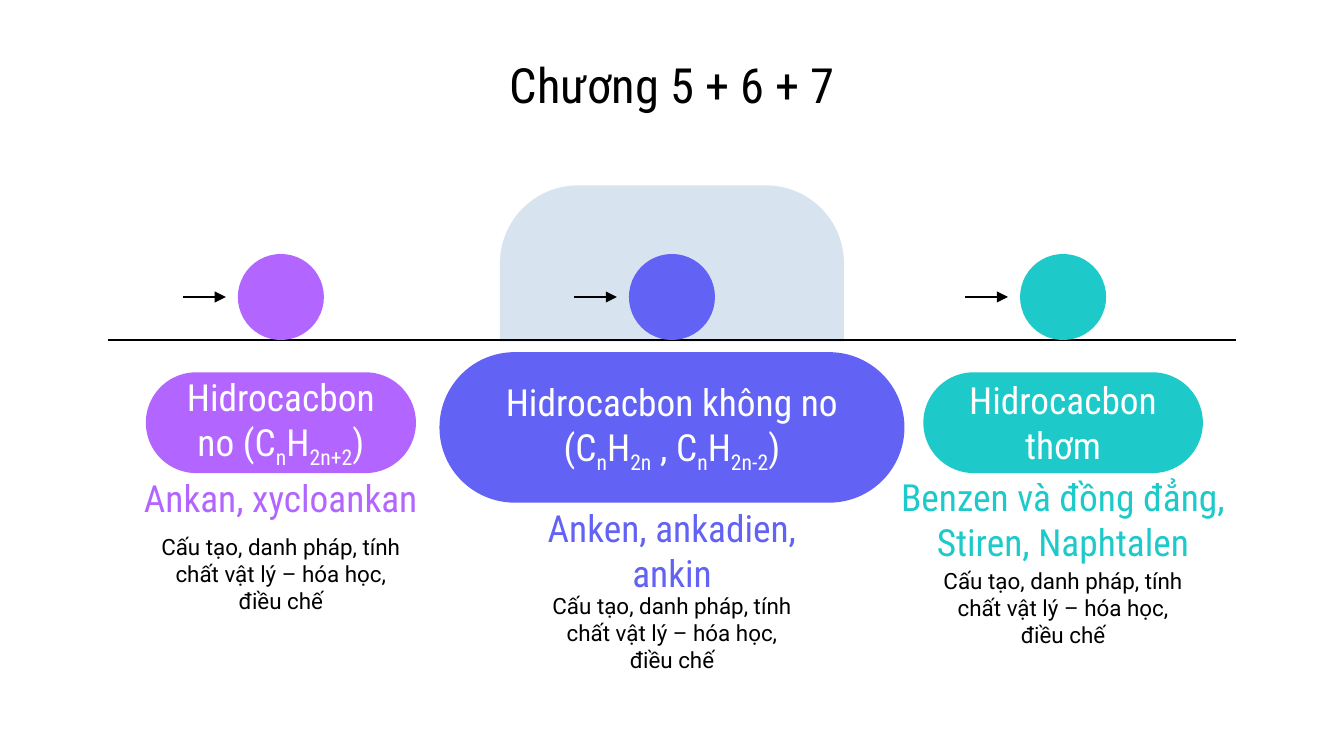
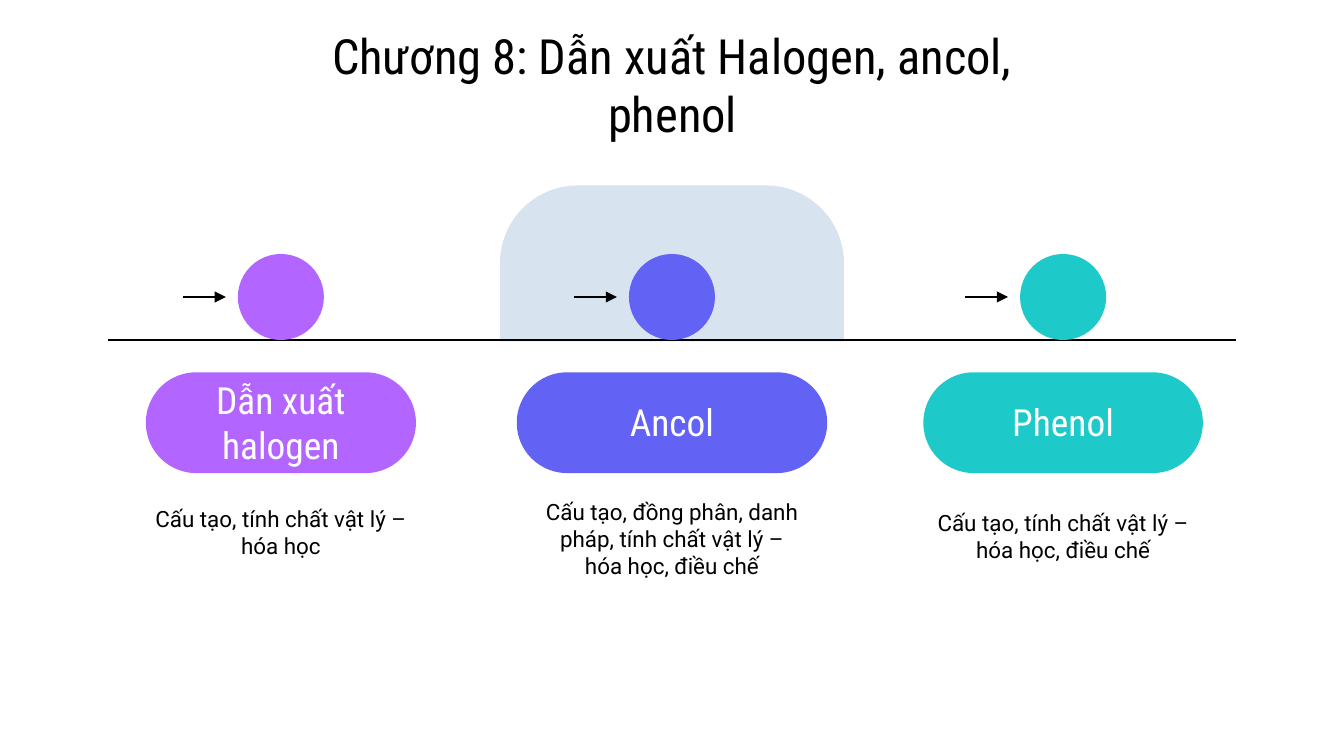
from lxml.etree import SubElement
from pptx import Presentation
from pptx.dml.color import RGBColor
from pptx.enum.shapes import MSO_CONNECTOR, MSO_SHAPE
from pptx.enum.text import MSO_ANCHOR, PP_ALIGN
from pptx.oxml.ns import qn
from pptx.util import Inches, Pt

BLACK, WHITE, PANEL = "000000", "FFFFFF", "D7E4F0"
COLORS = ["B366FF", "6262F5", "1EC9C9"]
HEAD_FONT, BODY_FONT = "Roboto Condensed", "Roboto"
COL_LEFT, COL_PITCH, COL_W = 1.03, 2.91, 2.12
CIRCLE = 0.64
AXIS_Y = 2.53
TOPICS = "Cấu tạo, danh pháp, tính chất vật lý – hóa học, điều chế"

SLIDES = [
    ("Chương 5 + 6 + 7", [
        dict(pill="Hidrocacbon no (C_n_H_2n+2_)", pill_box=(2.77, 2.01, 0.75),
             label="Ankan, xycloankan", label_box=(3.52, 2.46),
             body=TOPICS, body_top=3.89),
        dict(pill="Hidrocacbon không no (C_n_H_2n_ , C_n_H_2n-2_)",
             pill_box=(2.62, 3.46, 1.12),
             label="Anken, ankadien, ankin", label_box=(3.91, 2.12),
             body=TOPICS, body_top=4.33),
        dict(pill="Hidrocacbon thơm", pill_box=(2.77, 2.08, 0.75),
             label="Benzen và đồng đẳng, Stiren, Naphtalen",
             label_box=(3.68, 2.8), body=TOPICS, body_top=4.14),
    ]),
    ("Chương 8: Dẫn xuất Halogen, ancol, phenol", [
        dict(pill="Dẫn xuất halogen", pill_box=(2.77, 2.01, 0.75),
             body="Cấu tạo, tính chất vật lý – hóa học", body_top=3.58),
        dict(pill="Ancol", pill_box=(2.77, 2.31, 0.75),
             body="Cấu tạo, đồng phân, danh pháp, tính chất vật lý – hóa học, điều chế",
             body_top=3.63),
        dict(pill="Phenol", pill_box=(2.77, 2.08, 0.75),
             body="Cấu tạo, tính chất vật lý – hóa học, điều chế", body_top=3.61),
    ]),
]


def rgb(color):
    return RGBColor.from_string(color)


def write(sp, text, size=20, font=HEAD_FONT, color=BLACK, bottom=0.1):
    tf = sp.text_frame
    tf.word_wrap = True
    tf.vertical_anchor = MSO_ANCHOR.MIDDLE
    tf.margin_left = tf.margin_right = tf.margin_top = Inches(0.1)
    tf.margin_bottom = Inches(bottom)
    p = tf.paragraphs[0]
    p.alignment = PP_ALIGN.CENTER
    for i, part in enumerate(text.split("_")):
        if not part:
            continue
        r = p.add_run()
        r.text = part
        r.font.size = Pt(size)
        r.font.name = font
        r.font.color.rgb = rgb(color)
        if i % 2:
            r._r.get_or_add_rPr().set("baseline", "-25000")


def add_text(s, box, text, **fmt):
    write(s.shapes.add_textbox(*map(Inches, box)), text, **fmt)


def add_block(s, kind, box, color):
    sp = s.shapes.add_shape(kind, *map(Inches, box))
    sp.shadow.inherit = False
    sp.fill.solid()
    sp.fill.fore_color.rgb = rgb(color)
    sp.line.fill.background()
    return sp


def add_line(s, x1, x2, y, arrow=False):
    line = s.shapes.add_connector(MSO_CONNECTOR.STRAIGHT, Inches(x1), Inches(y),
                                  Inches(x2), Inches(y))
    line.line.color.rgb = rgb(BLACK)
    line.line.width = Pt(1.5)
    if arrow:
        SubElement(line.line._get_or_add_ln(), qn("a:tailEnd"), type="triangle")
    SubElement(line._element.spPr, qn("a:effectLst"))


def add_timeline(s, left, top, width):
    panel_w, panel_h = 2.56, 1.16
    panel = add_block(s, MSO_SHAPE.ROUND_2_SAME_RECTANGLE,
                      (left + (width - panel_w) / 2, top - panel_h + 0.01,
                       panel_w, panel_h), PANEL)
    panel.adjustments[0] = 0.5
    panel.adjustments[1] = 0
    add_line(s, left, left + width, top)


def add_column(s, left, width, color, pill, pill_box, body, body_top,
               label=None, label_box=None):
    center = left + width / 2
    add_line(s, left + 0.33, left + 0.65, AXIS_Y - CIRCLE / 2, arrow=True)
    add_block(s, MSO_SHAPE.OVAL,
              (center - CIRCLE / 2, AXIS_Y - CIRCLE, CIRCLE, CIRCLE), color)

    top, pill_w, pill_h = pill_box
    sp = add_block(s, MSO_SHAPE.ROUNDED_RECTANGLE,
                   (center - pill_w / 2, top, pill_w, pill_h), color)
    sp.adjustments[0] = 0.5
    write(sp, pill, color=WHITE, bottom=0.11)

    if label:
        top, label_w = label_box
        add_text(s, (center - label_w / 2, top, label_w, 0.37), label, color=color)
    add_text(s, (left, body_top, width, 0.76), body, size=12, font=BODY_FONT)


def add_chapter(prs, title, columns):
    s = prs.slides.add_slide(prs.slide_layouts[6])
    add_text(s, (2.2, 0.31, 5.61, 0.63), title, size=26)
    add_timeline(s, 0.8, AXIS_Y, 8.4)
    for i, (color, column) in enumerate(zip(COLORS, columns)):
        add_column(s, COL_LEFT + i * COL_PITCH, COL_W, color, **column)


def main():
    prs = Presentation()
    prs.slide_width = Inches(10)
    prs.slide_height = prs.slide_width * 9 // 16
    for title, columns in SLIDES:
        add_chapter(prs, title, columns)
    prs.save("out.pptx")


if __name__ == "__main__":
    main()
